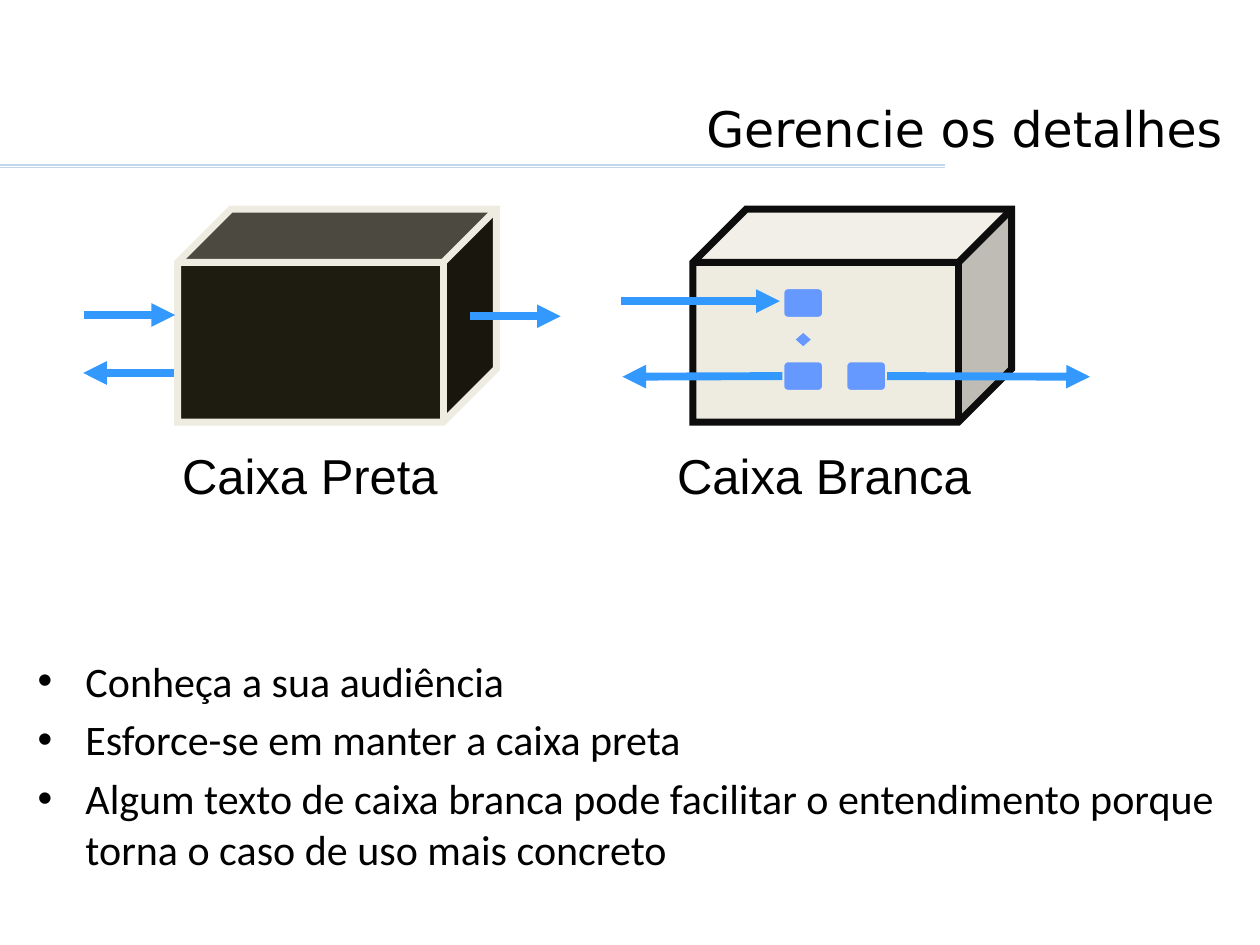
"""Build the slide on black-box and white-box detail."""
from typing import NamedTuple, Optional

from lxml.etree import SubElement
from pptx import Presentation
from pptx.dml.color import RGBColor as Rgb
from pptx.enum.shapes import MSO_CONNECTOR as Conn, MSO_SHAPE as Kind
from pptx.enum.text import MSO_ANCHOR as Anchor, PP_ALIGN as Align
from pptx.oxml.ns import qn
from pptx.util import Inches, Pt

HUES = {"text": "000000", "rule": "C4D6EB", "flow": "3399FF", "step": "6699FF",
        "cream": "EEECE1", "black": "1E1C11", "edge": "0D0D0D"}


class Block(NamedTuple):
    kind: Kind
    left: float
    top: float
    wide: float
    high: float
    fill: str
    edge: str
    thick: float


class Link(NamedTuple):
    start: tuple
    end: tuple
    hue: str
    thick: float
    arrow: bool = False
    head: Optional[tuple] = None
    tail: Optional[tuple] = None
    bent: bool = False


class Label(NamedTuple):
    text: str
    left: float
    wide: float


def hue(name: str) -> Rgb:
    """Return a named colour."""
    return Rgb.from_string(HUES[name])


def set_all(item, vals: dict) -> None:
    """Set each attribute of an item."""
    for key, val in vals.items():
        setattr(item, key, val)


def style(para, name: str, size: float) -> None:
    """Format the font of a paragraph."""
    set_all(para.font, {"name": name, "size": Pt(size)})
    para.font.color.rgb = hue("text")


def draw_block(slide, block: Block):
    """Draw a filled shape with a sharp outline."""
    shape = slide.shapes.add_shape(block.kind, *map(Inches, block[1:5]))
    shape.shadow.inherit = False
    shape.fill.solid()
    shape.fill.fore_color.rgb = hue(block.fill)
    shape.line.color.rgb = hue(block.edge)
    shape.line.width = Pt(block.thick)
    SubElement(shape.line._get_or_add_ln(), qn("a:miter"), lim="800000")
    return shape


def draw_link(slide, link: Link) -> None:
    """Draw a line, with its joins and arrowhead."""
    kind = Conn.ELBOW if link.bent else Conn.STRAIGHT
    line = slide.shapes.add_connector(kind, *map(Inches, link.start + link.end))
    if link.bent:
        line._element.spPr.find(qn("a:prstGeom")).set("prst", "bentConnector2")
    if link.head:
        line.begin_connect(*link.head)
    if link.tail:
        line.end_connect(*link.tail)
    line.line.color.rgb = hue(link.hue)
    line.line.width = Pt(link.thick)
    if link.arrow:
        SubElement(line.line._get_or_add_ln(), qn("a:tailEnd"), type="triangle")
    SubElement(line._element.spPr, qn("a:effectLst"))


def draw_label(slide, label: Label) -> None:
    """Draw the name below a box."""
    box = slide.shapes.add_textbox(*map(Inches, (label.left, 3.49, label.wide, 0.57)))
    box.text_frame.word_wrap = False
    para = box.text_frame.paragraphs[0]
    set_all(para, {"text": label.text, "alignment": Align.CENTER})
    style(para, "Arial", 28)


def draw_title(slide, text: str) -> None:
    """Place and format the title."""
    title = slide.shapes.title
    set_all(title, {"left": Inches(0.18), "top": Inches(0.28),
                    "width": Inches(9.62), "height": Inches(1.02)})
    set_all(title.text_frame, {"text": text, "vertical_anchor": Anchor.BOTTOM})
    para = title.text_frame.paragraphs[0]
    para.alignment = Align.RIGHT
    style(para, "DejaVu Sans", 28)


def draw_list(slide, items: list[str]) -> None:
    """Draw the bulleted advice."""
    frame = slide.shapes.add_textbox(*map(Inches, (0.2, 5.15, 9.61, 2.14))).text_frame
    frame.word_wrap = True
    for num, text in enumerate(items):
        para = frame.add_paragraph() if num else frame.paragraphs[0]
        para.text = text
        props = para._p.get_or_add_pPr()
        props.set("marL", str(Inches(0.38)))
        props.set("indent", str(Inches(-0.38)))
        para.space_before = Pt(4.8 if num else 0)
        SubElement(props, qn("a:buFont"), typeface="Arial")
        SubElement(props, qn("a:buChar"), char="•")
        style(para, "Calibri", 24)


def main() -> None:
    """Build and save the slide."""
    deck = Presentation()
    set_all(deck, {"slide_width": Inches(10), "slide_height": Inches(7.5)})
    slide = deck.slides.add_slide(deck.slide_layouts[5])

    for high in (1.33, 1.31):
        draw_link(slide, Link((0, high), (7.5, high), "rule", 0.75))
    draw_title(slide, "Gerencie os detalhes")
    draw_list(slide, [
        "Conheça a sua audiência",
        "Esforce-se em manter a caixa preta",
        "Algum texto de caixa branca pode facilitar o entendimento porque "
        "torna o caso de uso mais concreto",
    ])
    for label in (Label("Caixa Preta", 1.33, 2.26), Label("Caixa Branca", 5.26, 2.56)):
        draw_label(slide, label)

    for left, fill, edge in ((5.5, "cream", "edge"), (1.41, "black", "cream")):
        draw_block(slide, Block(Kind.CUBE, left, 1.66, 2.53, 1.69, fill, edge, 4))

    first, right, low = [
        draw_block(slide, Block(Kind.FLOWCHART_ALTERNATE_PROCESS, left, top,
                                0.33, 0.25, "step", "cream", 2.25))
        for left, top in ((6.21, 2.28), (6.71, 2.86), (6.21, 2.86))]
    test = draw_block(slide, Block(Kind.FLOWCHART_DECISION, 6.29, 2.62, 0.17, 0.15,
                                   "step", "cream", 2.25))

    inner, flow = ("cream", 2.25), ("flow", 4.5, True)
    links = [
        Link((6.38, 2.53), (6.38, 2.62), *inner, head=(first, 2), tail=(test, 0)),
        Link((6.38, 2.77), (6.38, 2.86), *inner, head=(test, 2), tail=(low, 0)),
        Link((6.46, 2.7), (6.88, 2.86), *inner, head=(test, 3), tail=(right, 0), bent=True),
        Link((4.93, 2.39), (6.19, 2.39), *flow),
        Link((7.04, 2.99), (8.65, 2.99), *flow, head=(right, 3)),
        Link((6.21, 2.99), (4.94, 2.99), *flow, head=(low, 1)),
        Link((0.67, 2.5), (1.39, 2.5), *flow),
        Link((3.73, 2.51), (4.45, 2.51), *flow),
        Link((1.38, 2.96), (0.66, 2.96), *flow),
    ]
    for link in links:
        draw_link(slide, link)
    deck.save("out.pptx")


if __name__ == "__main__":
    main()
